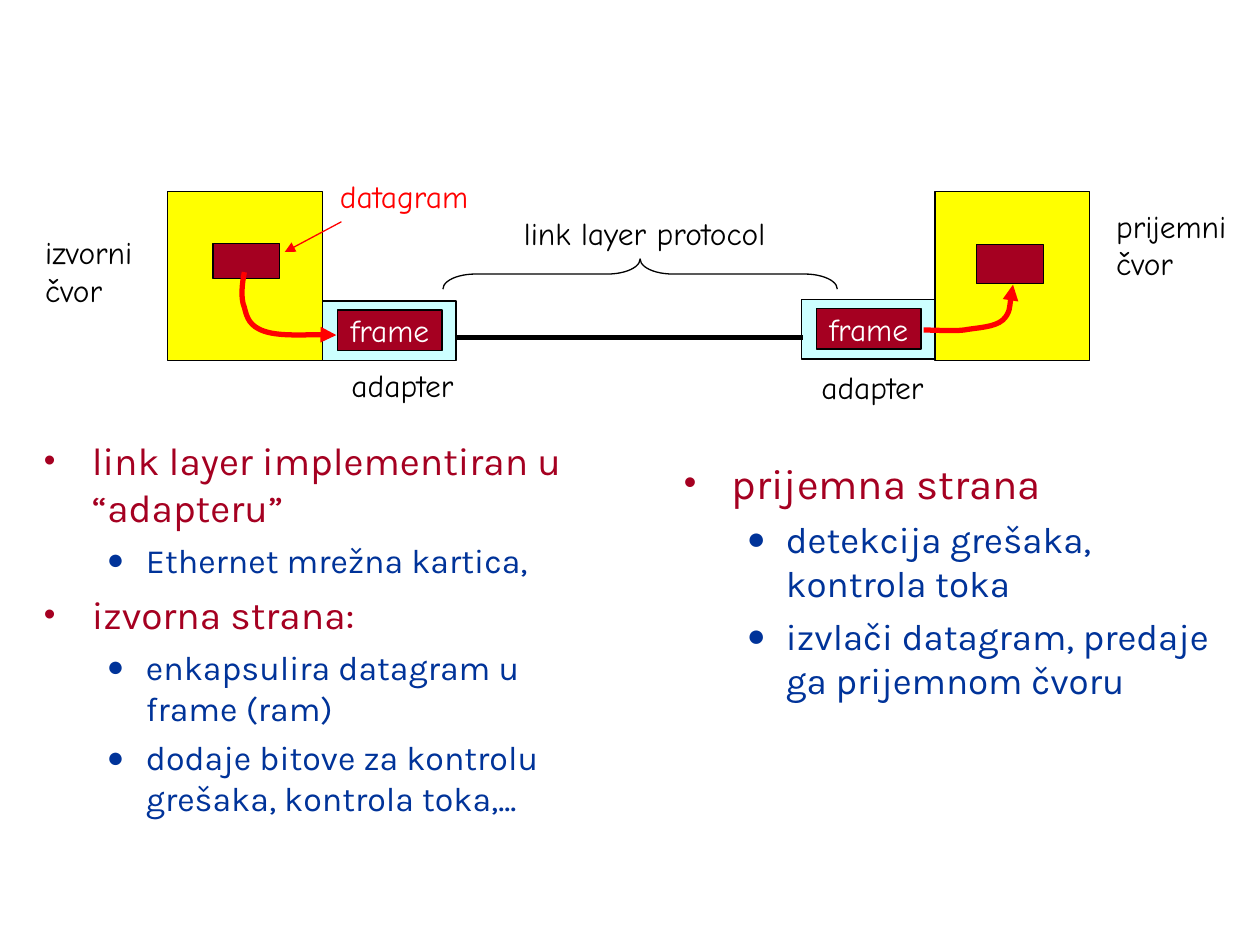
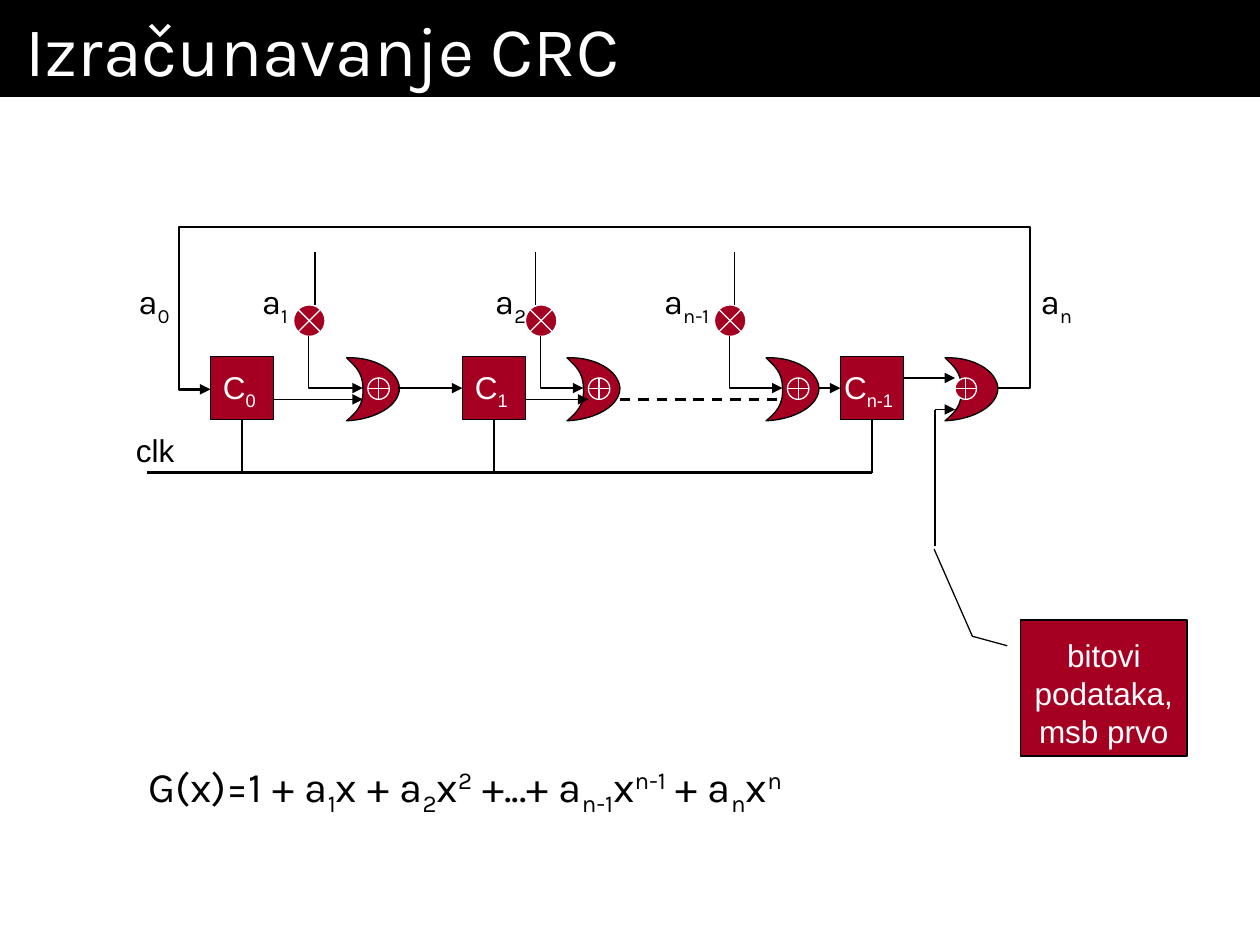
from dataclasses import dataclass

from lxml import etree
from pptx import Presentation
from pptx.dml.color import RGBColor
from pptx.enum import dml, shapes, text
from pptx.oxml.ns import qn
from pptx.util import Inches, Pt

PRESET = shapes.MSO_SHAPE
SUB, SUP = -25000, 30000


@dataclass(frozen=True)
class Theme:
    black: str = "000000"
    white: str = "FFFFFF"
    crimson: str = "A50021"
    navy: str = "003399"
    red: str = "FF0000"
    yellow: str = "FFFF00"
    ice: str = "CCFFFF"
    body_font: str = "Karla"
    sketch_font: str = "Comic Neue"
    circuit_font: str = "Arial"
    title_size: float = 40
    formula_size: float = 24
    tap_size: float = 20
    label_size: float = 18
    thin: float = 0.75
    medium: float = 1.5
    thick: float = 3


THEME = Theme()


def rgb(value):
    return RGBColor.from_string(value)


def add_child(parent, tag, **attributes):
    return etree.SubElement(parent, qn(tag), attributes)


def style_line(item, color, width, arrow=False, dashed=False):
    item.line.color.rgb = rgb(color)
    item.line.width = Pt(width)
    if dashed:
        item.line.dash_style = dml.MSO_LINE.DASH
    if arrow:
        add_child(item.element.spPr.find(qn("a:ln")), "a:tailEnd", type="triangle")


def style_text(frame, font, size, color, align=text.PP_ALIGN.LEFT):
    for para in frame.paragraphs:
        para.alignment = align
        for span in para.runs:
            span.font.name = font
            span.font.size = Pt(size)
            span.font.color.rgb = rgb(color)


def bend_segments(item):
    """Turn every three straight segments of a freeform into one Bezier curve."""
    segments = list(item.element.iter(qn("a:lnTo")))
    for first in range(0, len(segments), 3):
        curve = etree.Element(qn("a:cubicBezTo"))
        segments[first].addprevious(curve)
        for segment in segments[first:first + 3]:
            curve.append(segment[0])
            segment.getparent().remove(segment)


@dataclass
class Area:
    """A region of a page; every position is measured from its left top corner."""
    page: object
    left: float = 0
    top: float = 0

    def place(self, x, y):
        return Inches(self.left + x), Inches(self.top + y)

    def shape(self, kind, x, y, width, height, fill, line=THEME.black):
        item = self.page.shapes.add_shape(
            kind, *self.place(x, y), Inches(width), Inches(height))
        item.shadow.inherit = False
        if fill:
            item.fill.solid()
            item.fill.fore_color.rgb = rgb(fill)
        else:
            item.fill.background()
        if line:
            style_line(item, line, THEME.thin)
        else:
            item.line.fill.background()
        return item

    def rect(self, *args, **options):
        return self.shape(PRESET.RECTANGLE, *args, **options)

    def connector(self, start, end, width=THEME.thin, color=THEME.black,
                  arrow=False, dashed=False, kind=shapes.MSO_CONNECTOR.STRAIGHT):
        item = self.page.shapes.add_connector(
            kind, *self.place(*start), *self.place(*end))
        style_line(item, color, width, arrow, dashed)
        add_child(item.element.spPr, "a:effectLst")
        return item

    def outline(self, start, curves, closed=False):
        """Freeform of Bezier curves, each given as two handles and an end."""
        points = [self.place(*point) for curve in curves for point in curve]
        builder = self.page.shapes.build_freeform(*self.place(*start), scale=1.0)
        builder.add_line_segments(points, close=closed)
        item = builder.convert_to_shape()
        bend_segments(item)
        item.shadow.inherit = False
        return item

    def flow_arrow(self, start, curves):
        item = self.outline(start, curves)
        item.fill.background()
        style_line(item, THEME.red, THEME.thick, arrow=True)

    def label(self, x, y, width, height, pieces, font=THEME.sketch_font,
              size=THEME.label_size, color=THEME.black, wrap=False, bottom=False):
        """Text box; pieces is a string or a list of (text, baseline) pairs."""
        box = self.page.shapes.add_textbox(
            *self.place(x, y), Inches(width), Inches(height))
        frame = box.text_frame
        frame.word_wrap = wrap
        frame.auto_size = text.MSO_AUTO_SIZE.SHAPE_TO_FIT_TEXT
        if bottom:
            frame.vertical_anchor = text.MSO_ANCHOR.BOTTOM
        if isinstance(pieces, str):
            frame.text = pieces
        else:
            for words, baseline in pieces:
                span = frame.paragraphs[0].add_run()
                span.text = words
                if baseline:
                    span.font._element.set("baseline", str(baseline))
        style_text(frame, font, size, color)


# Link layer slide

def draw_host(area, datagram):
    area.rect(0, 0, 1.23, 1.34, THEME.yellow)
    area.rect(*datagram, THEME.crimson)


def draw_adapter(area, label_x, label_y):
    area.rect(0, 0, 1.06, 0.47, THEME.ice)
    frame_box = area.rect(0.12, 0.07, 0.83, 0.32, THEME.crimson)
    frame = frame_box.text_frame
    frame.text = "frame"
    frame.word_wrap = False
    frame.vertical_anchor = text.MSO_ANCHOR.MIDDLE
    style_text(frame, THEME.sketch_font, THEME.label_size, THEME.white,
               text.PP_ALIGN.CENTER)
    area.label(label_x, label_y, 1.02, 0.4, "adapter")


def draw_sender(page, left, top):
    area = Area(page, left, top)
    draw_adapter(Area(page, left + 1.23, top + 0.87), 0.13, 0.47)
    draw_host(area, (0.36, 0.41, 0.53, 0.28))
    area.label(-1.07, 0.28, 0.99, 0.7, "izvorni čvor", wrap=True)
    area.label(1.27, -0.16, 1.23, 0.4, "datagram", color=THEME.red)
    area.connector((1.38, 0.24), (0.93, 0.48), color=THEME.red, arrow=True)
    area.flow_arrow((0.61, 0.64), [
        ((0.59, 0.74), (0.58, 0.85), (0.61, 0.92)),
        ((0.63, 1.0), (0.65, 1.07), (0.77, 1.11)),
        ((0.89, 1.15), (1.24, 1.13), (1.34, 1.14))])


def draw_receiver(page, left, top):
    area = Area(page, left, top)
    draw_adapter(Area(page, left - 1.06, top + 0.86), 0.06, 0.49)
    draw_host(area, (0.33, 0.42, 0.53, 0.31))
    area.label(1.34, 0.07, 1.1, 0.7, "prijemni\nčvor")
    area.flow_arrow((-0.09, 1.1), [
        ((0.02, 1.1), (0.13, 1.11), (0.23, 1.1)),
        ((0.34, 1.08), (0.47, 1.08), (0.54, 1.02)),
        ((0.6, 0.96), (0.61, 0.78), (0.62, 0.74))])


def draw_link(page, left, top):
    area = Area(page, left, top)
    area.connector((0.1, 1.03), (2.86, 1.03), THEME.thick)
    brace = area.shape(PRESET.LEFT_BRACE, 1.45, -1.04, 0.24, 3.13, None)
    brace.rotation = 90
    brace.adjustments[0] = 1.08
    area.label(0.55, 0, 2.13, 0.4, "link layer protocol")


def draw_bullets(page, left, top, width, height, sizes, items):
    """Two-level list; items are (level, words), sizes is one size a level."""
    levels = ((0.38, 0.38, "•", THEME.crimson, 6), (0.81, 0.31, "●", THEME.navy, 5.2))
    box = page.shapes.add_textbox(*map(Inches, (left, top, width, height)))
    frame = box.text_frame
    frame.word_wrap = True
    for index, (level, words) in enumerate(items):
        para = frame.add_paragraph() if index else frame.paragraphs[0]
        para.text = words
        para.level = level
        margin, hanging, mark, color, gap = levels[level]
        properties = para._p.get_or_add_pPr()
        properties.set("marL", str(Inches(margin)))
        properties.set("indent", str(-Inches(hanging)))
        add_child(add_child(properties, "a:buClr"), "a:srgbClr", val=color)
        add_child(properties, "a:buSzPct", val="85000")
        add_child(properties, "a:buFont", typeface=THEME.circuit_font)
        add_child(properties, "a:buChar", char=mark)
        if index:
            para.space_before = Pt(gap)
        font = para.runs[0].font
        font.name = THEME.body_font
        font.size = Pt(sizes[level])
        font.color.rgb = rgb(color)


def build_link_layer(page):
    draw_sender(page, 1.33, 1.52)
    draw_receiver(page, 7.42, 1.52)
    draw_link(page, 3.51, 1.65)
    draw_bullets(page, 0.25, 3.42, 4.45, 3.31, (22.2, 19.4), [
        (0, "link layer implementiran u “adapteru”"),
        (1, "Ethernet mrežna kartica,"),
        (0, "izvorna strana:"),
        (1, "enkapsulira datagram u frame (ram)"),
        (1, "dodaje bitove za kontrolu grešaka, kontrola toka,...")])
    draw_bullets(page, 5.33, 3.58, 4.47, 3.27, (24, 21), [
        (0, "prijemna strana"),
        (1, "detekcija grešaka, kontrola toka"),
        (1, "izvlači datagram, predaje ga prijemnom čvoru")])


# CRC slide

def draw_title(page, words):
    band = Area(page).rect(0, 0, 10, 0.77, THEME.black, line=None)
    frame = band.text_frame
    frame.text = words
    frame.word_wrap = True
    frame.margin_left = frame.margin_right = Inches(0.2)
    frame.vertical_anchor = text.MSO_ANCHOR.TOP
    style_text(frame, THEME.body_font, THEME.title_size, THEME.white)


def draw_gate(area, x, plus_x):
    gate = area.outline((x, 1.54), [
        ((x + 0.07, 1.48), (x + 0.14, 1.42), (x + 0.13, 1.28)),
        ((x + 0.13, 1.15), (x + 0.06, 1.1), (x, 1.04)),
        ((x + 0.22, 1.03), (x + 0.41, 1.14), (x + 0.42, 1.28)),
        ((x + 0.42, 1.42), (x + 0.23, 1.53), (x, 1.54))], closed=True)
    gate.fill.solid()
    gate.fill.fore_color.rgb = rgb(THEME.crimson)
    style_line(gate, THEME.black, THEME.thin)
    area.shape(PRESET.FLOWCHART_OR, x + plus_x, 1.2, 0.17, 0.17,
               THEME.crimson, THEME.white)


def draw_tap(area, x, input_x, gate_x):
    """Multiplier, its input from above and its bent wire into a gate."""
    area.shape(PRESET.FLOWCHART_SUMMING_JUNCTION, x, 0.62, 0.25, 0.25,
               THEME.crimson, THEME.white)
    area.connector((input_x, 0.62), (input_x, 0.2))
    start, end = (x + 0.12, 0.87), (gate_x + 0.13, 1.28)
    center = [(a + b) / 2 for a, b in zip(start, end)]
    half_x, half_y = [(b - a) / 2 for a, b in zip(start, end)]
    # The bend is laid out sideways, then turned so that it runs down first.
    wire = area.connector((center[0] + half_y, center[1] - half_x),
                          (center[0] - half_y, center[1] + half_x),
                          arrow=True, kind=shapes.MSO_CONNECTOR.ELBOW)
    wire.element.spPr.find(qn("a:xfrm")).set("rot", "16200000")
    wire.element.spPr.find(qn("a:prstGeom")).set("prst", "bentConnector2")


def draw_feedback(area):
    wire = area.connector((6.92, 1.28), (0.67, 1.29), THEME.medium, arrow=True,
                          kind=shapes.MSO_CONNECTOR.ELBOW)
    geometry = wire.element.spPr.find(qn("a:prstGeom"))
    geometry.set("prst", "bentConnector5")
    guides = geometry.find(qn("a:avLst"))
    if guides is None:
        guides = add_child(geometry, "a:avLst")
    for number, value in enumerate((-4100, -13000000, 104000), start=1):
        add_child(guides, "a:gd", name=f"adj{number}", fmla=f"val {value}")


def draw_register_chain(page, left, top):
    area = Area(page, left, top)
    registers = [area.rect(x, 1.03, 0.5, 0.5, THEME.crimson) for x in (0.67, 2.67, 5.67)]
    for x, plus_x in ((1.75, 0.17), (3.5, 0.17), (5.08, 0.17), (6.5, 0.08)):
        draw_gate(area, x, plus_x)
    for x, input_x, gate_x in ((1.33, 1.5, 1.75), (3.17, 3.25, 3.5), (4.67, 4.83, 5.08)):
        draw_tap(area, x, input_x, gate_x)
    draw_feedback(area)

    area.connector((0.17, 1.95), (5.92, 1.95), THEME.medium)
    for register, x in zip(registers, (0.92, 2.92, 5.92)):
        drop = area.connector((x, 1.53), (x, 1.95), THEME.medium)
        drop.begin_connect(register, 2)
    for gate_end, register, x in ((2.16, registers[1], 2.67), (5.5, registers[2], 5.67)):
        wire = area.connector((gate_end, 1.28), (x, 1.28), arrow=True)
        wire.end_connect(register, 1)
    for start, end, y in ((1.17, 1.88, 1.37), (3.17, 3.67, 1.37),
                          (6.17, 6.58, 1.2), (6.42, 6.58, 1.45)):
        area.connector((start, y), (end, y), arrow=True)
    area.connector((3.92, 1.37), (5.17, 1.37), THEME.medium, dashed=True)
    area.connector((6.42, 2.53), (6.42, 1.45), THEME.medium)

    for x, width, index in ((0.67, 0.46, "0"), (2.67, 0.46, "1"), (5.6, 0.59, "n-1")):
        area.label(x, 1.07, width, 0.44, [("C", 0), (index, SUB)],
                   THEME.circuit_font, color=THEME.white, bottom=True)
    for x, width, index in ((0, 0.45, "0"), (0.98, 0.45, "1"), (2.83, 0.45, "2"),
                            (4.17, 0.6, "n-1"), (7.16, 0.45, "n")):
        area.label(x, 0.37, width, 0.48, [("a", 0), (index, SUB)],
                   THEME.body_font, THEME.tap_size, bottom=True)
    area.label(-0.02, 1.57, 0.53, 0.4, "clk", THEME.circuit_font, bottom=True)


def draw_input_note(page, left, top):
    note = Area(page, left, top).shape(
        PRESET.LINE_CALLOUT_2, 0, 0, 1.32, 1.08, THEME.crimson)
    for index, value in enumerate((0.19, -0.08, 0.12, -0.29, -0.52, -0.52)):
        note.adjustments[index] = value
    frame = note.text_frame
    frame.text = "bitovi podataka, msb prvo"
    frame.word_wrap = True
    frame.vertical_anchor = text.MSO_ANCHOR.BOTTOM
    style_text(frame, THEME.circuit_font, THEME.label_size, THEME.white,
               text.PP_ALIGN.CENTER)


def draw_polynomial(page, left, top):
    pieces = [("G(x)=1 + a", 0), ("1", SUB), ("x + a", 0), ("2", SUB), ("x", 0),
              ("2", SUP), (" +...+ a", 0), ("n-1", SUB), ("x", 0), ("n-1", SUP),
              (" + a", 0), ("n", SUB), ("x", 0), ("n", SUP)]
    Area(page, left, top).label(0, 0, 5.72, 0.56, pieces, THEME.body_font,
                                THEME.formula_size, bottom=True)


def build_crc(page):
    draw_title(page, "Izračunavanje CRC")
    draw_register_chain(page, 1, 1.8)
    draw_input_note(page, 8.1, 4.92)
    draw_polynomial(page, 1.08, 5.98)


def main():
    deck = Presentation()
    deck.slide_width, deck.slide_height = Inches(10), Inches(7.5)
    for build in (build_link_layer, build_crc):
        build(deck.slides.add_slide(deck.slide_layouts[6]))
    deck.save("out.pptx")


if __name__ == "__main__":
    main()
